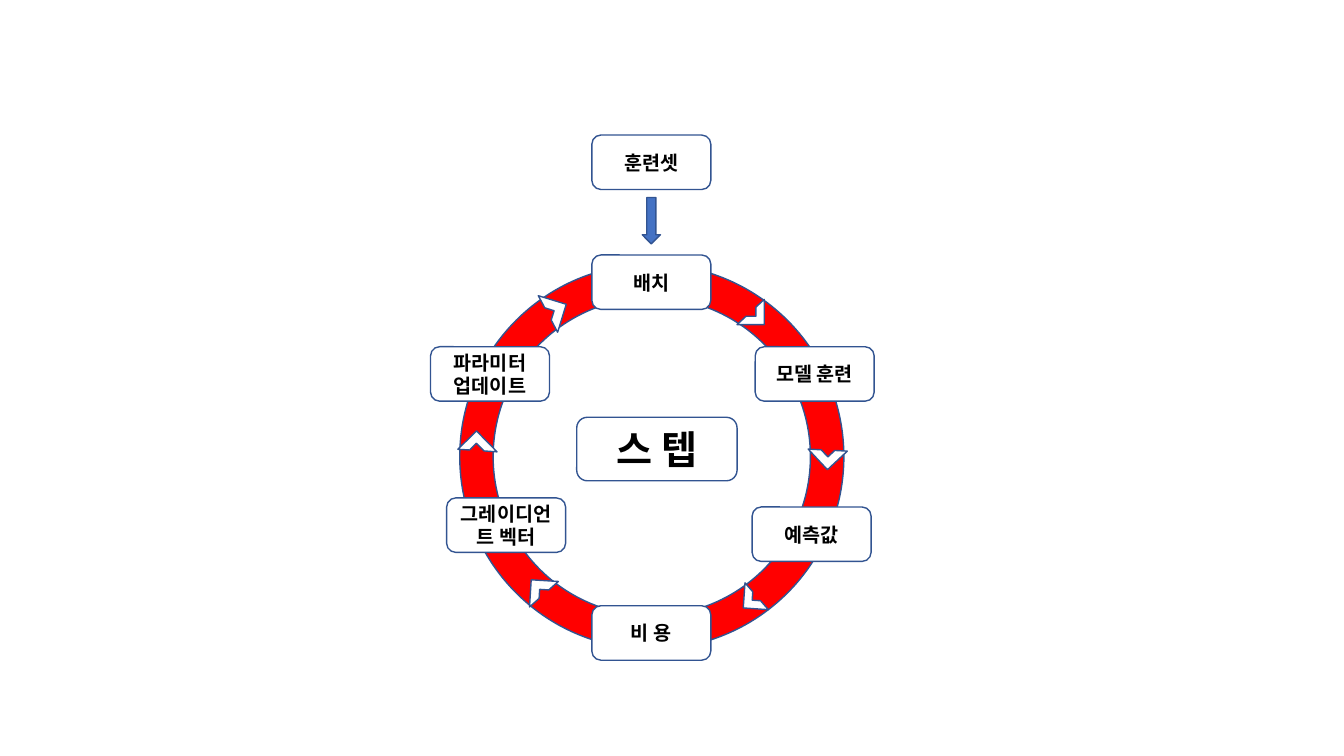
from dataclasses import dataclass

from lxml.etree import SubElement
from pptx import Presentation
from pptx.dml.color import RGBColor
from pptx.enum.shapes import MSO_SHAPE
from pptx.enum.text import MSO_ANCHOR, PP_ALIGN
from pptx.oxml.ns import qn
from pptx.shapes.autoshape import Shape
from pptx.slide import Slide
from pptx.util import Inches, Pt


@dataclass(frozen=True)
class Theme:
    font: str = "Noto Sans CJK KR"
    white: RGBColor = RGBColor(0xFF, 0xFF, 0xFF)
    text: RGBColor = RGBColor(0, 0, 0)
    ring: RGBColor = RGBColor(0xFF, 0, 0)
    arrow: RGBColor = RGBColor(0x44, 0x72, 0xC4)
    outline: RGBColor = RGBColor(0x32, 0x54, 0x91)
    label_size: int = 14
    center_size: int = 28
    line_width: int = 1


@dataclass(frozen=True)
class Box:
    left: float
    top: float
    width: float
    height: float


@dataclass(frozen=True)
class Stage:
    text: str
    left: float
    top: float


@dataclass(frozen=True)
class Chevron:
    box: Box
    rotation: float


THEME = Theme()
STAGE_WIDTH, STAGE_HEIGHT = 1.18, 0.54
AXIS_LEFT = 5.87
RING = Box(4.56, 2.62, 3.81, 3.82)
CENTER = Box(5.72, 4.14, 1.59, 0.63)
DOWN_ARROW = Box(6.37, 1.96, 0.18, 0.46)

STAGES = [
    Stage("훈련셋", AXIS_LEFT, 1.34),
    Stage("배치", AXIS_LEFT, 2.53),
    Stage("모델 훈련", 7.49, 3.44),
    Stage("예측값", 7.46, 5.03),
    Stage("비 용", AXIS_LEFT, 6.01),
    Stage("그레이디언트 벡터", 4.43, 4.94),
    Stage("파라미터 업데이트", 4.27, 3.44),
]

CHEVRONS = [
    Chevron(Box(7.31, 2.97, 0.27, 0.25), 180),
    Chevron(Box(8.07, 4.33, 0.28, 0.27), 226.9),
    Chevron(Box(7.38, 5.79, 0.25, 0.25), 274),
    Chevron(Box(5.26, 5.76, 0.27, 0.27), 3.5),
    Chevron(Box(4.59, 4.34, 0.29, 0.26), 45.6),
    Chevron(Box(5.29, 2.97, 0.29, 0.29), 107.1),
]


def add_outlined(s: Slide, kind: MSO_SHAPE, box: Box, fill: RGBColor) -> Shape:
    sp = s.shapes.add_shape(kind, Inches(box.left), Inches(box.top),
                            Inches(box.width), Inches(box.height))
    sp.shadow.inherit = False
    sp.fill.solid()
    sp.fill.fore_color.rgb = fill
    sp.line.color.rgb = THEME.outline
    sp.line.width = Pt(THEME.line_width)
    return sp


def add_label(s: Slide, text: str, box: Box, size: int) -> None:
    sp = add_outlined(s, MSO_SHAPE.ROUNDED_RECTANGLE, box, THEME.white)
    tf = sp.text_frame
    tf.word_wrap = True
    tf.vertical_anchor = MSO_ANCHOR.MIDDLE
    p = tf.paragraphs[0]
    p.text = text
    p.alignment = PP_ALIGN.CENTER
    r = p.runs[0]
    r.font.size = Pt(size)
    r.font.bold = True
    r.font.color.rgb = THEME.text
    r.font.name = THEME.font
    # Hangul takes its font from the East Asian slot
    SubElement(r.font._element, qn("a:ea"), typeface=THEME.font)


def main() -> None:
    prs = Presentation()
    prs.slide_width, prs.slide_height = Inches(13.33), Inches(7.5)
    s = prs.slides.add_slide(prs.slide_layouts[6])

    ring = add_outlined(s, MSO_SHAPE.DONUT, RING, THEME.ring)
    ring.adjustments[0] = 0.087
    for stage in STAGES:
        box = Box(stage.left, stage.top, STAGE_WIDTH, STAGE_HEIGHT)
        add_label(s, stage.text, box, THEME.label_size)
    for chevron in CHEVRONS:
        sp = add_outlined(s, MSO_SHAPE.HALF_FRAME, chevron.box, THEME.white)
        sp.rotation = chevron.rotation
    add_label(s, "스 텝", CENTER, THEME.center_size)
    add_outlined(s, MSO_SHAPE.DOWN_ARROW, DOWN_ARROW, THEME.arrow)

    prs.save("out.pptx")


if __name__ == "__main__":
    main()
